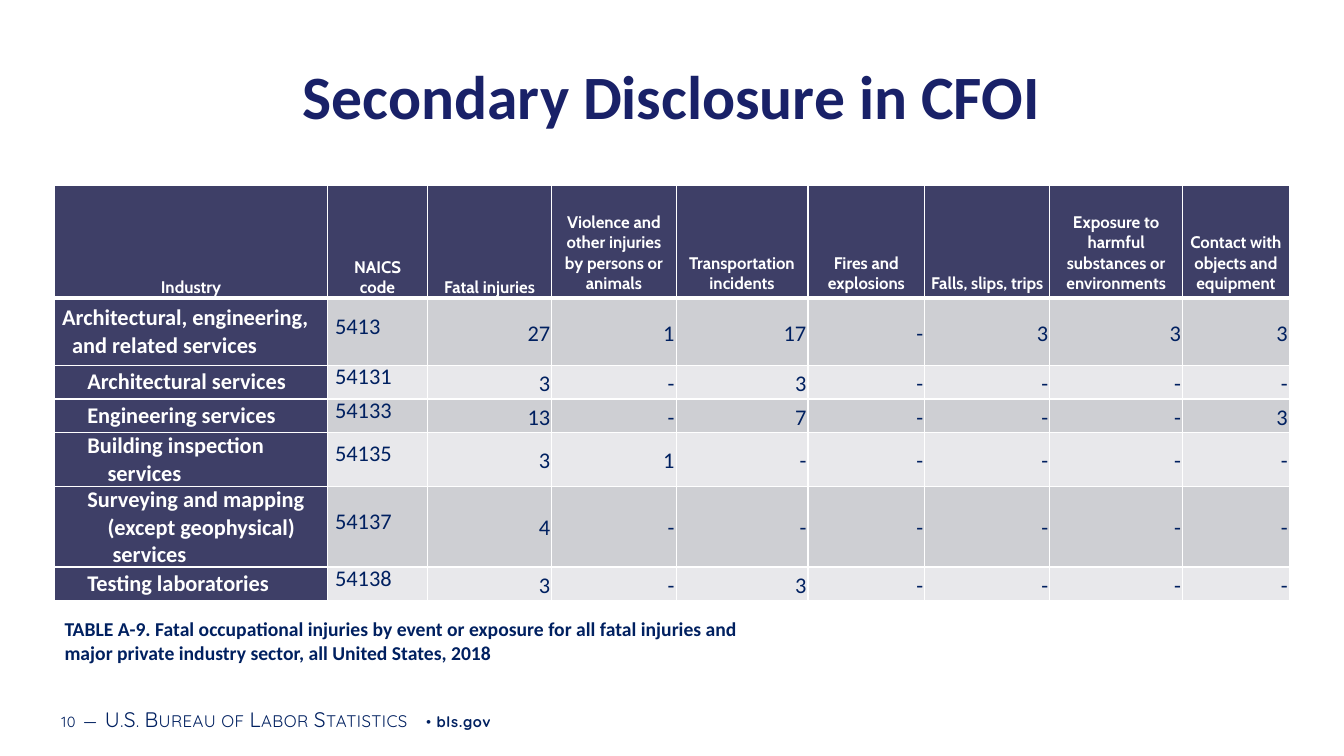
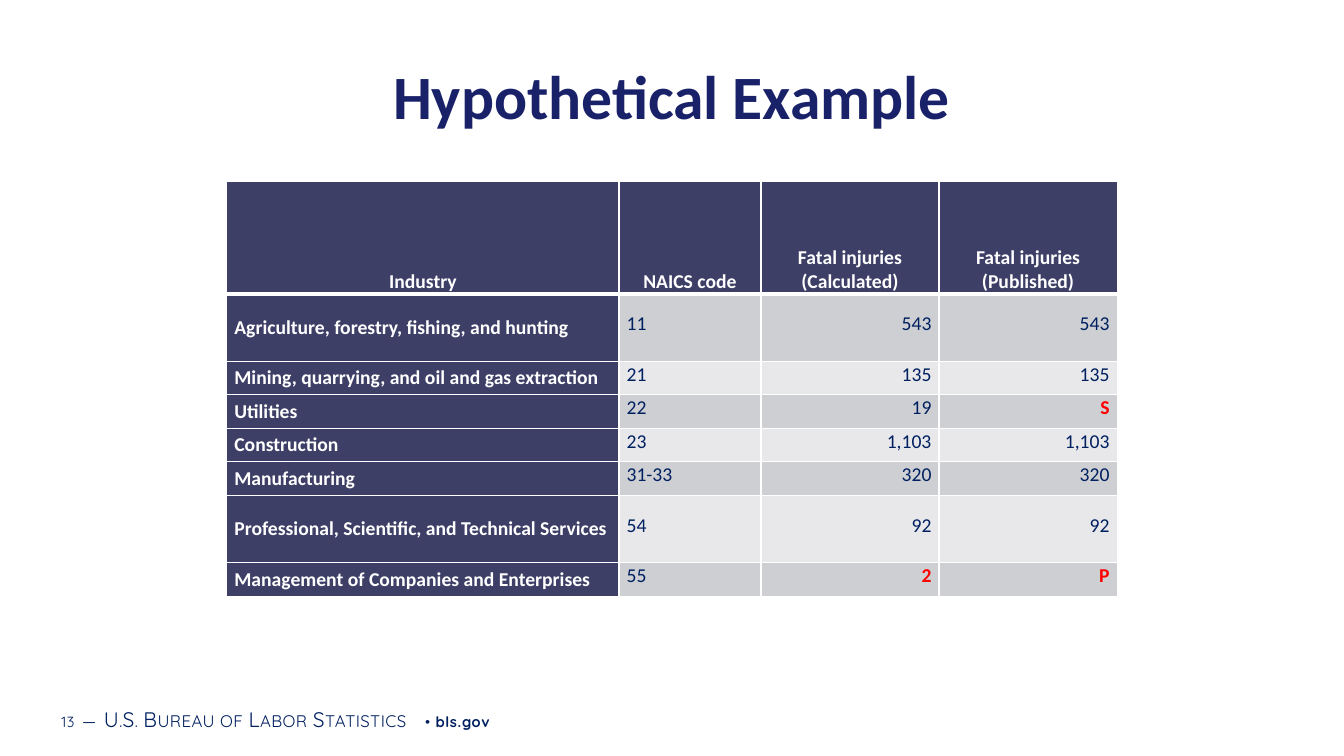
"""Build two slides of fatal injury tables on a grid of 160 by 90 units."""
import lxml.etree
import pptx
import pptx.dml.color
import pptx.enum.text
import pptx.oxml.ns
import pptx.util

rgb = pptx.dml.color.RGBColor.from_string
AL = pptx.enum.text.PP_ALIGN
ANC = pptx.enum.text.MSO_ANCHOR
SIDES = ("margin_left", "margin_top", "margin_right", "margin_bottom")

NAVY, TITLE, HEAD, WHITE, RED = "002060", "192168", "3E3F67", "FFFFFF", "FF0000"
BANDS = ("CECFD3", "E8E8EB")
FOOTER = [
    (" ", 16, 50, "none", False),
    ("—", 15, 30, "small", False),
    (" ", 16, 50, "none", False),
    ("U.S. Bureau of Labor Statistics", 15, 30, "small", False),
    (" • ", 10.5, 50, "none", False),
    ("bls.gov", 10.5, 50, "none", True),
]
PAD, PAD_HEAD, PAD_BODY = (0.9, 0, 0.9, 0), (0.5, 0.2, 0.5, 0.5), (0.2, 0.6, 0.2, 0.2)

SLIDES = [
    dict(
        title="Secondary Disclosure in CFOI",
        number="10",
        at=(6.5, 22.1),
        cols=(32.5, 11.9, 14.8, 14.8, 15.7, 13.9, 14.9, 15.8, 12.7),
        rows=(13.4, 8, 4, 4, 4, 8, 4),
        head=dict(name="Cabin", size=12),
        body=dict(name="Calibri", size=16),
        exact_head=(), exact_body=(1,),
        tight_head=range(3, 9), tight_body=range(2, 9),
        red=(),
        indents={1: (0, 1.2), 2: (3,), 3: (3,), 4: (3, 5.4), 5: (3, 5.4, 6), 6: (3,)},
        cells=[
            ["Industry", "NAICS code", "Fatal injuries",
             "Violence and other injuries by persons or animals",
             "Transportation incidents", "Fires and explosions", "Falls, slips, trips",
             "Exposure to harmful substances or environments",
             "Contact with objects and equipment"],
            ["Architectural, engineering,\nand related services",
             "5413", "27", "1", "17", "-", "3", "3", "3"],
            ["Architectural services", "54131", "3", "-", "3", "-", "-", "-", "-"],
            ["Engineering services", "54133", "13", "-", "7", "-", "-", "-", "3"],
            ["Building inspection\nservices", "54135", "3", "1", "-", "-", "-", "-", "-"],
            ["Surveying and mapping\n(except geophysical)\nservices",
             "54137", "4", "-", "-", "-", "-", "-", "-"],
            ["Testing laboratories", "54138", "3", "-", "3", "-", "-", "-", "-"],
        ],
        caption="TABLE A-9. Fatal occupational injuries by event or exposure for all "
                "fatal injuries and\nmajor private industry sector, all United States, 2018",
    ),
    dict(
        title="Hypothetical Example",
        number="13",
        at=(27, 21.6),
        cols=(46.7, 16.9, 21.2, 21.2),
        rows=(13.4, 8, 4, 4, 4, 4, 8, 4),
        head=dict(name="Calibri", size=14),
        body=dict(name="Calibri", size=14),
        exact_head=(0, 1), exact_body=(1, 2, 3),
        tight_head=(), tight_body=(),
        red=((3, 3), (7, 2), (7, 3)),
        indents={},
        cells=[
            ["Industry", "NAICS code", "Fatal injuries\n(Calculated)",
             "Fatal injuries\n(Published)"],
            ["Agriculture, forestry, fishing, and hunting", "11", "543", "543"],
            ["Mining, quarrying, and oil and gas extraction", "21", "135", "135"],
            ["Utilities", "22", "19", "S"],
            ["Construction", "23", "1,103", "1,103"],
            ["Manufacturing", "31-33", "320", "320"],
            ["Professional, Scientific, and Technical Services", "54", "92", "92"],
            ["Management of Companies and Enterprises", "55", "2", "P"],
        ],
        caption=None,
    ),
]


def grid(*units):
    """Turn grid units, a twelfth of an inch each, into lengths."""
    return [pptx.util.Inches(n / 12) for n in units]


def write(tf, text, color, name, size, bold=True, indents=(), **layout):
    """Fill a text frame with one formatted paragraph per line."""
    for i, line in enumerate(text.split("\n")):
        p = tf.paragraphs[0] if i == 0 else tf.add_paragraph()
        for key, value in layout.items():
            setattr(p, key, value)
        if indents:
            p._p.get_or_add_pPr().set("marL", str(grid(indents[i])[0]))
        r = p.add_run()
        r.text = line
        fmt = dict(name=name, size=pptx.util.Pt(size), bold=bold)
        for key, value in fmt.items():
            setattr(r.font, key, value)
        r.font.color.rgb = rgb(color)
    return r


prs = pptx.Presentation()
prs.slide_width, prs.slide_height = grid(160, 90)

for d in SLIDES:
    s = prs.slides.add_slide(prs.slide_layouts[5])

    sp = s.shapes.title
    sp.left, sp.top, sp.width, sp.height = grid(6.5, 6, 147, 10.5)
    sp.text_frame.vertical_anchor = ANC.MIDDLE
    write(sp.text_frame, d["title"], TITLE, "Calibri", 44, alignment=AL.CENTER)

    tf = s.shapes.add_textbox(*grid(6.4, 83.2, 101.6, 4.8)).text_frame
    tf.word_wrap, tf.vertical_anchor = True, ANC.MIDDLE
    for side, pad in zip(SIDES, grid(0.9, 0.45, 0.9, 0.45)):
        setattr(tf, side, pad)
    p = tf.paragraphs[0]
    for text, size, spacing, caps, bold in [(d["number"], 10.5, 50, "none", False)] + FOOTER:
        r = p.add_run()
        r.text = text
        fmt = dict(name="Quicksand", size=pptx.util.Pt(size), bold=bold)
        for key, value in fmt.items():
            setattr(r.font, key, value)
        r.font.color.rgb = rgb(NAVY)
        for key, value in dict(spc=str(spacing), cap=caps).items():
            r.font._element.set(key, value)

    size = grid(sum(d["cols"]), sum(d["rows"]))
    tbl = s.shapes.add_table(len(d["rows"]), len(d["cols"]), *grid(*d["at"]), *size).table
    for col, width in zip(tbl.columns, grid(*d["cols"])):
        col.width = width
    for row, height in zip(tbl.rows, grid(*d["rows"])):
        row.height = height

    for i, texts in enumerate(d["cells"]):
        part = "body" if i else "head"
        for j, text in enumerate(texts):
            cell = tbl.cell(i, j)
            label = i == 0 or j == 0
            marked = (i, j) in d["red"]

            tight = j in d["tight_" + part]
            pads = (PAD_BODY if i else PAD_HEAD) if tight else PAD
            for side, pad in zip(SIDES, grid(*pads)):
                setattr(cell, side, pad)
            cell.vertical_anchor = ANC.MIDDLE if i else ANC.BOTTOM

            layout = dict(alignment=AL.CENTER if i == 0 else AL.LEFT if j < 2 else AL.RIGHT)
            if j in d["exact_" + part]:
                layout["line_spacing"] = pptx.util.Pt(12)
            write(cell.text_frame, text, WHITE if label else RED if marked else NAVY,
                  bold=label or marked, indents=d["indents"].get(i, ()) if j == 0 else (),
                  **d[part], **layout)

            tcPr = cell._tc.get_or_add_tcPr()
            thick = {0: "lnB", 1: "lnT"}.get(i)
            for tag in ("lnL", "lnR", "lnT", "lnB"):
                ln = lxml.etree.SubElement(tcPr, pptx.oxml.ns.qn("a:" + tag))
                ln.set("w", str(pptx.util.Pt(3 if tag == thick else 1)))
                fill = lxml.etree.SubElement(ln, pptx.oxml.ns.qn("a:solidFill"))
                lxml.etree.SubElement(fill, pptx.oxml.ns.qn("a:srgbClr")).set("val", WHITE)
            cell.fill.solid()
            cell.fill.fore_color.rgb = rgb(HEAD if label else BANDS[(i - 1) % 2])

    if d["caption"]:
        tf = s.shapes.add_textbox(*grid(6.5, 70.3, 141.5, 12)).text_frame
        tf.word_wrap, tf.vertical_anchor = True, ANC.MIDDLE
        write(tf, d["caption"], NAVY, "Calibri", 14)

prs.save("out.pptx")
